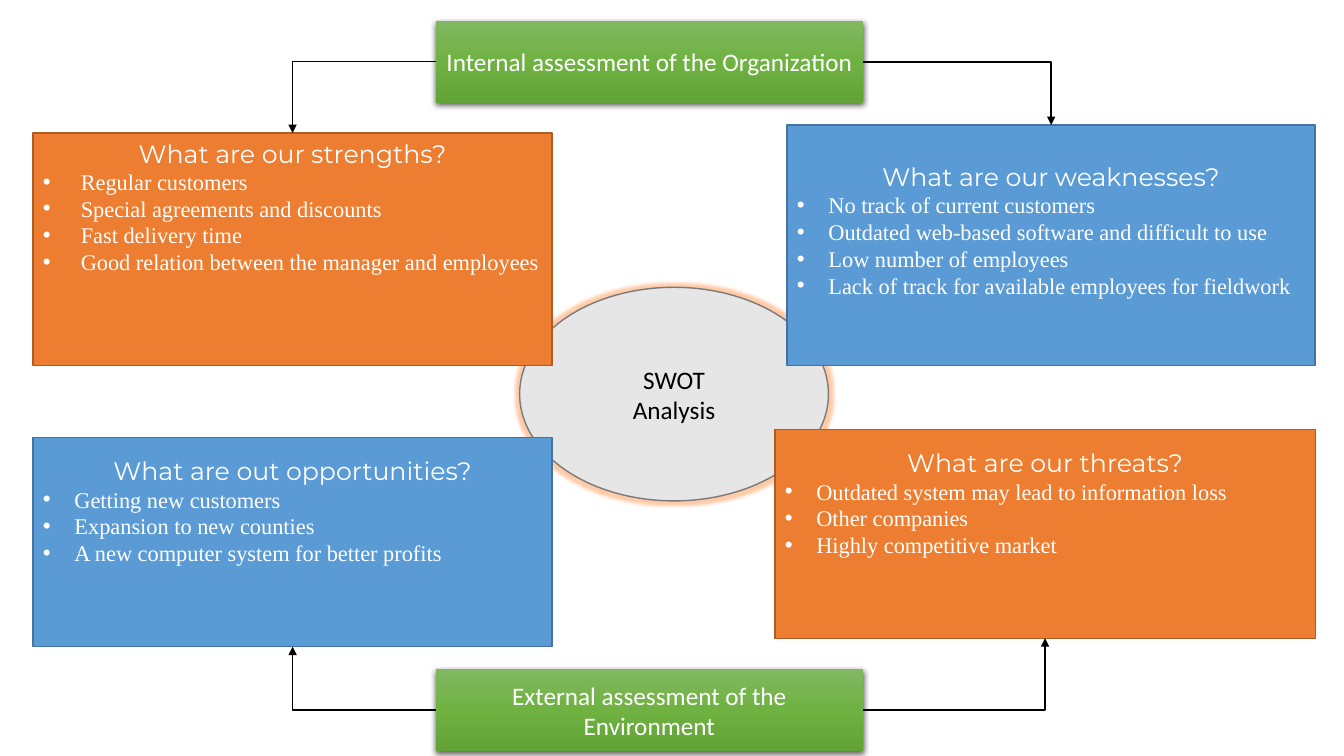
from dataclasses import dataclass

from pptx import Presentation
from pptx.dml.color import RGBColor
from pptx.enum.shapes import MSO_CONNECTOR, MSO_SHAPE
from pptx.enum.text import MSO_ANCHOR, PP_ALIGN
from pptx.oxml import parse_xml
from pptx.oxml.ns import nsdecls, qn
from pptx.util import Pt

ELBOW = MSO_CONNECTOR.ELBOW
RECT, OVAL = MSO_SHAPE.RECTANGLE, MSO_SHAPE.OVAL
TOP, MIDDLE = MSO_ANCHOR.TOP, MSO_ANCHOR.MIDDLE
LEFT, CENTER = PP_ALIGN.LEFT, PP_ALIGN.CENTER
NS = nsdecls("a")


@dataclass(frozen=True)
class Theme:
    """Colours, fonts and type sizes."""
    white: str = "FFFFFF"
    black: str = "000000"
    gray: str = "E7E6E6"
    edge: str = "7A7A7A"
    warm: tuple = ("ED7D31", "AF5C24")
    cool: tuple = ("5B9BD5", "43739E")
    green: tuple = ("81B861", "6FB242", "62A336")
    plain: str = "Calibri"
    head: str = "Montserrat"
    body: str = "Times New Roman"
    large: int = 18
    small: int = 16


THEME = Theme()
GLOW = (f'<a:glow {NS} rad="63500"><a:srgbClr val="{THEME.warm[0]}">'
        '<a:satMod val="175000"/><a:alpha val="40000"/></a:srgbClr></a:glow>')
SHADE = (f'<a:outerShdw {NS} blurRad="57150" dist="19050" dir="5400000" '
         f'algn="ctr" rotWithShape="0"><a:srgbClr val="{THEME.black}">'
         '<a:alpha val="63000"/></a:srgbClr></a:outerShdw>')


def assign(target, values):
    """Set each named value on the target."""
    for name, value in values.items():
        setattr(target, name, value)


def add_box(slide, kind, box, fill=None, line=None, effect=None):
    """Add a preset shape with flat fill, outline and effect."""
    shape = slide.shapes.add_shape(kind, *map(Pt, box))
    shape.shadow.inherit = False
    if effect:
        shape.element.spPr.find(qn("a:effectLst")).append(parse_xml(effect))
    if fill:
        shape.fill.solid()
        shape.fill.fore_color.rgb = RGBColor.from_string(fill)
    if line:
        shape.line.color.rgb = RGBColor.from_string(line)
        shape.line.width = Pt(1)
    else:
        shape.line.fill.background()
    return shape


def write(para, text, font, size, color, **form):
    """Fill a paragraph with one styled run."""
    assign(para, {"alignment": CENTER, **form})
    run = para.add_run()
    assign(run, {"text": text})
    assign(run.font, {"name": font, "size": Pt(size)})
    run.font.color.rgb = RGBColor.from_string(color)


def add_core(slide, box):
    """Draw the glowing centre oval."""
    shape = add_box(slide, OVAL, box, THEME.gray, THEME.edge, GLOW)
    frame = shape.text_frame
    assign(frame, {"word_wrap": True, "vertical_anchor": MIDDLE})
    for row, text in enumerate(("SWOT", "Analysis")):
        para = frame.add_paragraph() if row else frame.paragraphs[0]
        write(para, text, THEME.plain, THEME.large, THEME.black)


def add_banner(slide, box, text):
    """Draw a green heading bar with a soft shadow."""
    shape = add_box(slide, RECT, box, effect=SHADE)
    stops = "".join(f'<a:gs pos="{step * 50000}"><a:srgbClr val="{tone}"/></a:gs>'
                    for step, tone in enumerate(THEME.green))
    fill = parse_xml(f'<a:gradFill {NS} rotWithShape="1"><a:gsLst>{stops}</a:gsLst>'
                     '<a:lin ang="5400000" scaled="0"/></a:gradFill>')
    shape.element.spPr.find(qn("a:prstGeom")).addnext(fill)
    frame = shape.text_frame
    assign(frame, {"word_wrap": True, "vertical_anchor": MIDDLE})
    write(frame.paragraphs[0], text, THEME.plain, THEME.large, THEME.white)


def add_panel(slide, box, tones, inset, indent, title, items):
    """Draw one SWOT panel: a title over a bullet list."""
    frame = add_box(slide, RECT, box, *tones).text_frame
    assign(frame, {"word_wrap": True, "vertical_anchor": TOP,
                   "margin_top": Pt(inset)})
    write(frame.paragraphs[0], title, THEME.head, THEME.large, THEME.white)
    for item in items:
        para = frame.add_paragraph()
        write(para, item, THEME.body, THEME.small, THEME.white,
              alignment=LEFT, line_spacing=Pt(19.1))
        props = para._p.get_or_add_pPr()
        props.set("marL", str(Pt(indent)))
        props.set("indent", str(-Pt(indent)))
        props.append(parse_xml(f'<a:buFont {NS} typeface="Arial"/>'))
        props.append(parse_xml(f'<a:buChar {NS} char="\u2022"/>'))


def add_arrow(slide, banner, panel):
    """Link a banner's near side to a panel's facing edge, in one bend."""
    left, top, width, height = banner
    end_x = panel[0] + panel[2] / 2
    back = end_x < left
    start = (left if back else left + width, top + height / 2)
    end = (end_x, panel[1] if panel[1] > top else panel[1] + panel[3])
    link = slide.shapes.add_connector(ELBOW, *map(Pt, start + end))
    link.line.color.rgb = RGBColor.from_string(THEME.black)
    link.line.width = Pt(1)
    props = link.element.spPr
    props.find(qn("a:prstGeom")).set("prst", "bentConnector2")
    if back:  # a half turn plus a vertical flip equals a mirror
        frame = props.find(qn("a:xfrm"))
        frame.attrib.pop("flipH")
        frame.set("rot", "10800000")
        frame.set("flipV", "0" if frame.get("flipV") == "1" else "1")
    props.find(qn("a:ln")).append(parse_xml(f'<a:tailEnd {NS} type="triangle"/>'))
    props.append(parse_xml(f"<a:effectLst {NS}/>"))


def build():
    """Build the SWOT slide and save it."""
    deck = Presentation()
    assign(deck, {"slide_width": Pt(960), "slide_height": Pt(540)})
    slide = deck.slides.add_slide(deck.slide_layouts[6])

    upper, lower = [(311.2, top, 305.2, 58.3) for top in (15, 478)]
    panels = (
        ((23.6, 95, 370.8, 166.3), THEME.warm, 3.5, 27, "What are our strengths?",
         ("Regular customers", "Special agreements and discounts",
          "Fast delivery time",
          "Good relation between the manager and employees")),
        ((23.6, 312.5, 370.8, 149.4), THEME.cool, 13, 22.5,
         "What are out opportunities?",
         ("Getting new customers", "Expansion to new counties",
          "A new computer system for better profits")),
        ((562.2, 89.3, 377.3, 172), THEME.cool, 26, 22.5,
         "What are our weaknesses?",
         ("No track of current customers",
          "Outdated web-based software and difficult to use",
          "Low number of employees",
          "Lack of track for available employees for fieldwork")),
        ((553.5, 306.7, 386, 149.2), THEME.warm, 13, 22.5, "What are our threats?",
         ("Outdated system may lead to information loss",
          "Other companies", "Highly competitive market")),
    )
    add_core(slide, (371.2, 205.2, 220.6, 152.6))
    add_banner(slide, upper, "Internal assessment of the Organization")
    for panel in panels:
        add_panel(slide, *panel)
    add_banner(slide, lower, "External assessment of the Environment")
    for spot, panel in enumerate(panels):
        add_arrow(slide, lower if spot % 2 else upper, panel[0])
    deck.save("out.pptx")


build()
